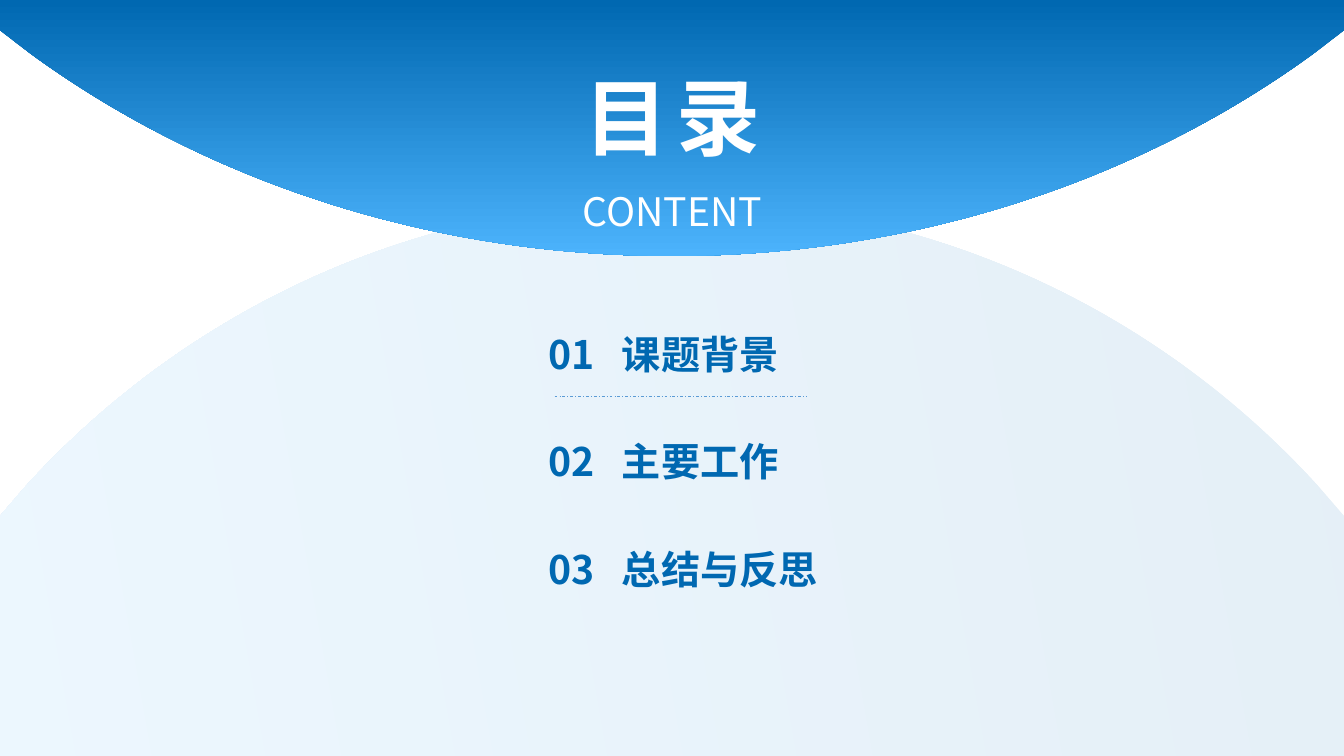
from dataclasses import dataclass

from lxml import etree
from pptx import Presentation
from pptx import util as u
from pptx.dml.color import RGBColor
from pptx.enum import dml, shapes, text
from pptx.oxml import ns

WIDTH, HEIGHT = 13.33, 7.5
CENTRE = WIDTH / 2


@dataclass(frozen=True)
class Theme:
    font: str = "Noto Sans CJK SC"
    deep: str = "0068B1"
    light: str = "4CB3FC"
    white: str = "FFFFFF"
    rule: str = "5B9BD5"
    title: int = 60
    body: int = 28
    leading: float = 0.9


def sub(parent, tag, **attrs):
    return etree.SubElement(parent, ns.qn(tag), attrs)


def write(p, content, *, theme, size, color, bold=False, spacing=0):
    r = p.add_run()
    r.text = content
    r.font.size = u.Pt(size)
    r.font.bold = bold
    r.font.name = theme.font
    r.font.color.rgb = RGBColor.from_string(color)
    rPr = r.font._element
    sub(rPr, "a:ea", typeface=theme.font)
    if spacing:
        rPr.set("spc", str(spacing * 100))


def mirror(point):
    return WIDTH - point[0], point[1]


class SlideBuilder:
    def __init__(self, slide, theme):
        self.s = slide
        self.theme = theme

    def arc_panel(self, base, edge, curve, *, angle, opacity=100):
        start, c1, c2, apex = curve
        anchors = [(0, edge), start, apex, mirror(start), (WIDTH, edge), (WIDTH, base), (0, base)]
        points = [(u.Inches(x), u.Inches(y)) for x, y in anchors]
        fb = self.s.shapes.build_freeform(*points[0])
        fb.add_line_segments(points[1:], close=True)
        sp = fb.convert_to_shape()
        outline = next(sp._element.iter(ns.qn("a:path")))
        self.bend(outline[2], sp, c1, c2)
        self.bend(outline[3], sp, mirror(c2), mirror(c1))
        sp.shadow.inherit = False
        sp.line.fill.background()
        sp.fill.gradient()
        sp.fill.gradient_angle = 360 - angle
        for stop, color in zip(sp.fill.gradient_stops, (self.theme.deep, self.theme.light)):
            stop.color.rgb = RGBColor.from_string(color)
        if opacity < 100:
            for clr in sp._element.spPr.iter(ns.qn("a:srgbClr")):
                sub(clr, "a:alpha", val=str(opacity * 1000))

    def bend(self, segment, sp, *controls):
        segment.tag = ns.qn("a:cubicBezTo")
        end = segment[0]
        for x, y in controls:
            sub(segment, "a:pt", x=str(u.Inches(x) - sp.left), y=str(u.Inches(y) - sp.top))
        segment.append(end)

    def label(self, content, x, y, w, h, *, align=text.PP_ALIGN.LEFT, tab=None, **style):
        sp = self.s.shapes.add_textbox(*map(u.Inches, (x, y, w, h)))
        tf = sp.text_frame
        tf.word_wrap = True
        tf.vertical_anchor = text.MSO_ANCHOR.MIDDLE
        p = tf.paragraphs[0]
        if tab:
            tabs = sub(p._p.get_or_add_pPr(), "a:tabLst")
            sub(tabs, "a:tab", pos=str(u.Inches(tab)), algn="l")
        p.alignment = align
        p.line_spacing = self.theme.leading
        write(p, content, theme=self.theme, **style)

    def divider(self, x1, x2, y):
        line = self.s.shapes.add_connector(
            shapes.MSO_CONNECTOR.STRAIGHT, *map(u.Inches, (x1, y, x2, y)))
        line.line.color.rgb = RGBColor.from_string(self.theme.rule)
        line.line.width = u.Pt(0.5)
        line.line.dash_style = dml.MSO_LINE.DASH_DOT
        sub(line._element.spPr, "a:effectLst")


def main():
    prs = Presentation()
    prs.slide_width, prs.slide_height = u.Inches(WIDTH), u.Inches(HEIGHT)
    theme = Theme()
    page = SlideBuilder(prs.slides.add_slide(prs.slide_layouts[6]), theme)

    dome = ((0.25, 4.83), (1.84, 3.08), (4.12, 1.99), (CENTRE, 1.99))
    bowl = ((0.3, 0.53), (2.03, 1.79), (4.25, 2.54), (CENTRE, 2.54))
    page.arc_panel(HEIGHT, 5.12, dome, angle=170, opacity=10)
    page.arc_panel(0, 0.3, bowl, angle=90)

    heading = dict(align=text.PP_ALIGN.CENTER, color=theme.white)
    page.label("目录", 5.47, 0.58, 2.4, 1.26, size=theme.title, bold=True, spacing=6, **heading)
    page.label("CONTENT", 5.47, 1.49, 2.4, 1.26, size=theme.body, **heading)

    for i, topic in enumerate(("课题背景", "主要工作", "总结与反思")):
        page.label(f"{i + 1:02}\t{topic}", 5.34, 3.12 + i * 1.07, 3.34, 0.83,
                   tab=0.73, size=theme.body, color=theme.deep, bold=True)
    page.divider(5.5, 8, 3.93)

    prs.save("out.pptx")


if __name__ == "__main__":
    main()
